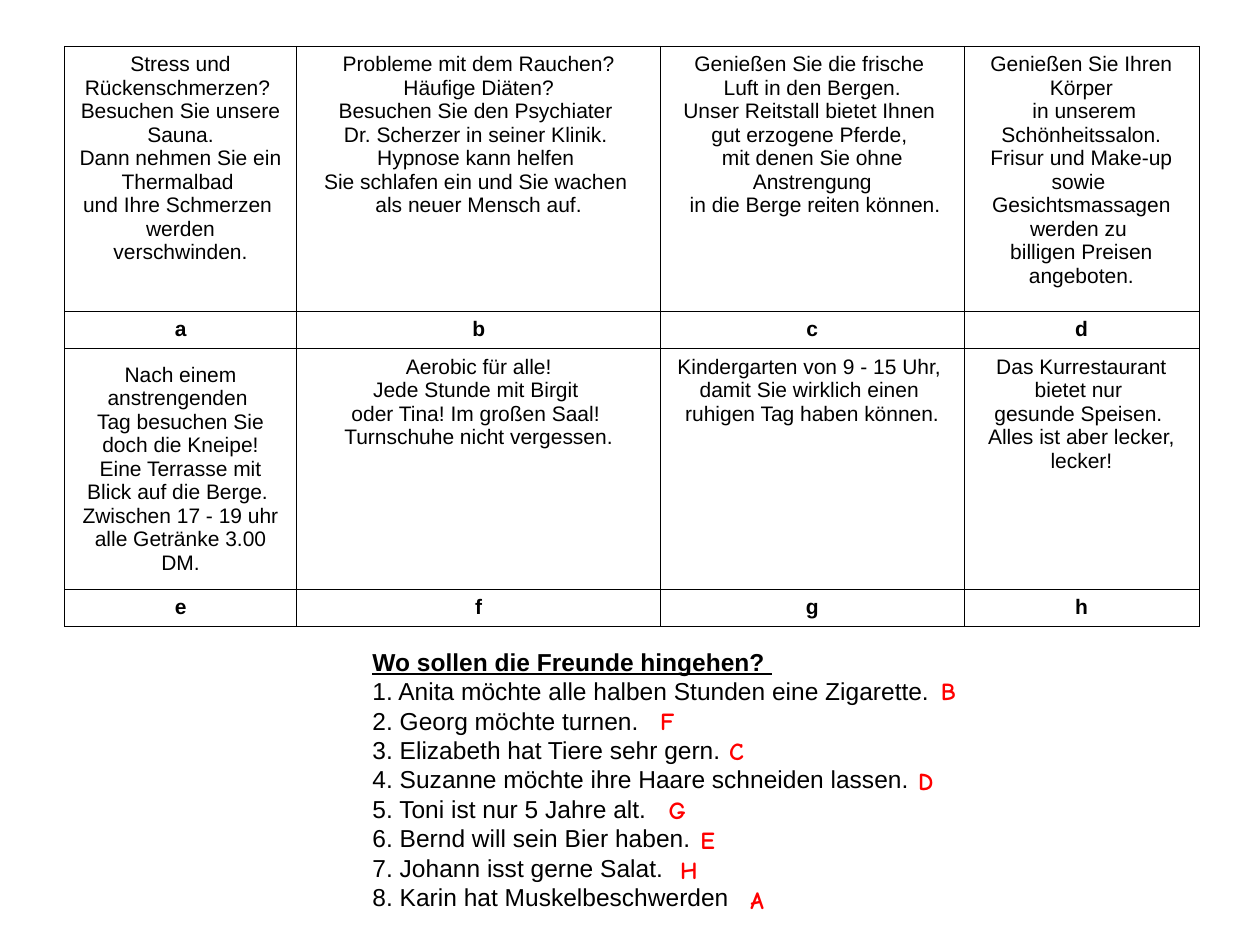
from copy import deepcopy
from lxml import etree
from pptx import Presentation
from pptx.dml.color import RGBColor
from pptx.enum.text import MSO_ANCHOR, MSO_AUTO_SIZE, PP_ALIGN
from pptx.oxml.ns import qn
from pptx.util import Cm, Pt

TOP, MIDDLE = MSO_ANCHOR.TOP, MSO_ANCHOR.MIDDLE
LEFT, CENTER = PP_ALIGN.LEFT, PP_ALIGN.CENTER
GROW = MSO_AUTO_SIZE.SHAPE_TO_FIT_TEXT

COLORS = {"ink": "000000", "answer": "FF0000"}
STYLES = {
    "advert": {"name": "Arial", "size": Pt(12), "bold": False},
    "letter": {"name": "Arial", "size": Pt(12), "bold": True},
    "title": {"name": "Arial", "size": Pt(14), "bold": True, "underline": True},
    "task": {"name": "Arial", "size": Pt(14), "bold": False},
    "answer": {"name": "Comic Neue", "size": Pt(14), "bold": True},
}

COLS = [4.68, 7.34, 6.11, 4.74]
ROWS = [5.34, 0.76, 4.84, 0.76]

# Each advert is a list of paragraphs; "\n" is a line break within one
ADVERTS = [
    [
        ["Stress und Rückenschmerzen? ",
         "Besuchen Sie unsere Sauna.\nDann nehmen Sie ein Thermalbad ",
         "und Ihre Schmerzen ",
         "werden verschwinden."],
        ["Probleme mit dem Rauchen?",
         " Häufige Diäten? ",
         "Besuchen Sie den Psychiater ",
         "Dr. Scherzer in seiner Klinik. ",
         "Hypnose kann helfen ",
         "Sie schlafen ein und Sie wachen ",
         "als neuer Mensch auf."],
        ["Genießen Sie die frische ",
         "Luft in den Bergen.\nUnser Reitstall bietet Ihnen ",
         "gut erzogene Pferde, ",
         "mit denen Sie ohne Anstrengung",
         " in die Berge reiten können."],
        ["Genießen Sie Ihren Körper",
         " in unserem Schönheitssalon.\nFrisur und Make-up sowie ",
         "Gesichtsmassagen werden zu ",
         "billigen Preisen angeboten."],
    ],
    [
        ["Nach einem anstrengenden ",
         "Tag besuchen Sie doch die Kneipe!\n"
         "Eine Terrasse mit Blick auf die Berge. ",
         "Zwischen 17 - 19 uhr alle Getränke 3.00 DM."],
        ["Aerobic für alle!\nJede Stunde mit Birgit ",
         "oder Tina! Im großen Saal! ",
         "Turnschuhe nicht vergessen."],
        ["Kindergarten von 9 - 15 Uhr, ",
         "damit Sie wirklich einen ",
         "ruhigen Tag haben können."],
        ["Das Kurrestaurant bietet nur ",
         "gesunde Speisen. ",
         "Alles ist aber lecker, lecker!"],
    ],
]
LETTERS = ["abcd", "efgh"]

TITLE = "Wo sollen die Freunde hingehen? "
# Task, answer letter, offset and width of the answer box
TASKS = [
    ("1. Anita möchte alle halben Stunden eine Zigarette.", "B", 11.46, 0.81),
    ("2. Georg möchte turnen.", "F", 5.8, 0.79),
    ("3. Elizabeth hat Tiere sehr gern.", "C", 7.19, 0.79),
    ("4. Suzanne möchte ihre Haare schneiden lassen.", "D", 11, 0.81),
    ("5. Toni ist nur 5 Jahre alt.", "G", 5.97, 0.86),
    ("6. Bernd will sein Bier haben.", "E", 6.61, 0.79),
    ("7. Johann isst gerne Salat.", "H", 6.2, 0.86),
    ("8. Karin hat Muskelbeschwerden", "A", 7.62, 0.79),
]
PITCH = 0.6


def write(frame, lines, align=LEFT, color="ink"):
    """Fill a text frame with (text, style) paragraphs."""
    for i, (text, style) in enumerate(lines):
        para = frame.add_paragraph() if i else frame.paragraphs[0]
        para.text = text
        para.alignment = align
        for run in para.runs:
            for key, value in STYLES[style].items():
                setattr(run.font, key, value)
            run.font.color.rgb = RGBColor.from_string(COLORS[color])
        # Line breaks take the format of the text around them
        for br in para._p.findall(qn("a:br")):
            br.append(deepcopy(para.runs[0]._r.rPr))


def border(cell):
    props = cell._tc.get_or_add_tcPr()
    for side in ("lnL", "lnR", "lnT", "lnB"):
        line = etree.SubElement(props, qn("a:" + side), w=str(Pt(0.34)))
        fill = etree.SubElement(line, qn("a:solidFill"))
        etree.SubElement(fill, qn("a:srgbClr"), val=COLORS["ink"])
    cell.fill.background()


def add_text(slide, x, y, w, h, lines, anchor=TOP, color="ink"):
    box = slide.shapes.add_textbox(Cm(x), Cm(y), Cm(w), Cm(h))
    frame = box.text_frame
    frame.word_wrap = False
    frame.auto_size = GROW
    frame.vertical_anchor = anchor
    write(frame, lines, color=color)


def add_adverts(slide, x, y):
    shape = slide.shapes.add_table(len(ROWS), len(COLS), Cm(x), Cm(y),
                                   Cm(sum(COLS)), Cm(sum(ROWS)))
    table = shape.table
    table.first_row = table.horz_banding = False
    for col, width in zip(table.columns, COLS):
        col.width = Cm(width)
    for row, height in zip(table.rows, ROWS):
        row.height = Cm(height)

    # Adverts and their letters alternate row by row
    for band, (adverts, letters) in enumerate(zip(ADVERTS, LETTERS)):
        for col, (advert, letter) in enumerate(zip(adverts, letters)):
            upper = table.cell(2 * band, col)
            lower = table.cell(2 * band + 1, col)
            write(upper.text_frame, [(t, "advert") for t in advert], CENTER)
            write(lower.text_frame, [(letter, "letter")], CENTER)
            border(upper)
            border(lower)
    table.cell(2, 0).vertical_anchor = MIDDLE


def add_tasks(slide, x, y, w, h):
    lines = [(TITLE, "title")] + [(task[0], "task") for task in TASKS]
    add_text(slide, x, y, w, h, lines, MIDDLE)
    # Answers, one beside each task
    for i, (_, letter, dx, width) in enumerate(TASKS, 1):
        add_text(slide, x + dx, y + i * PITCH, width, 0.86,
                 [(letter, "answer")], color="answer")


def main():
    deck = Presentation()
    deck.slide_width, deck.slide_height = Cm(25.4), Cm(19.05)
    slide = deck.slides.add_slide(deck.slide_layouts[6])
    add_adverts(slide, 1.3, 0.93)
    add_tasks(slide, 7.26, 12.91, 11.91, 5.59)
    deck.save("out.pptx")


if __name__ == "__main__":
    main()
